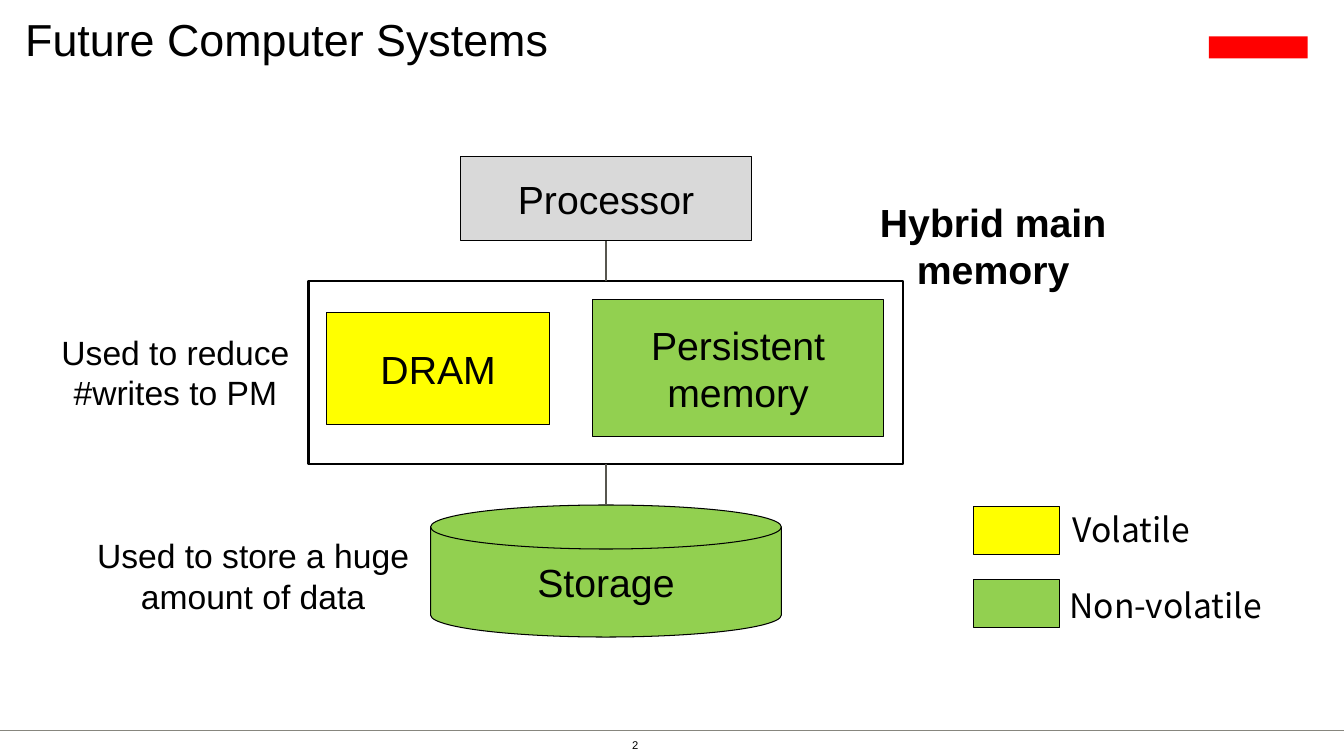
import pptx
import pptx.util
import pptx.dml.color
import pptx.enum.shapes
import pptx.enum.text
import pptx.oxml

Inches, Pt = pptx.util.Inches, pptx.util.Pt
RGBColor = pptx.dml.color.RGBColor
Shape = pptx.enum.shapes.MSO_SHAPE
Align = pptx.enum.text.PP_ALIGN
Anchor = pptx.enum.text.MSO_ANCHOR

BLACK = RGBColor(0x00, 0x00, 0x00)
GRAY = RGBColor(0xD9, 0xD9, 0xD9)
GREEN = RGBColor(0x92, 0xD0, 0x50)
YELLOW = RGBColor(0xFF, 0xFF, 0x00)
RED = RGBColor(0xFF, 0x00, 0x00)
LINK = RGBColor(0x57, 0x56, 0x4F)
RULE = RGBColor(0x87, 0x86, 0x7E)

deck = pptx.Presentation()
deck.slide_width, deck.slide_height = Inches(13.33), Inches(7.5)
slide = deck.slides.add_slide(deck.slide_layouts[6])
shapes = slide.shapes


def write(shape, lines, size, font="Arial", bold=False, align=Align.CENTER,
          anchor=Anchor.MIDDLE, wrap=True, flush=False):
    frame = shape.text_frame
    frame.text = lines
    frame.word_wrap = wrap
    frame.vertical_anchor = anchor
    if flush:
        frame.margin_left = frame.margin_right = 0
        frame.margin_top = frame.margin_bottom = 0
    for para in frame.paragraphs:
        para.alignment = align
        para.font.name = font
        para.font.size = Pt(size)
        para.font.bold = bold
        para.font.color.rgb = BLACK


def wire(x1, y1, x2, y2, color, width):
    line = shapes.add_connector(pptx.enum.shapes.MSO_CONNECTOR.STRAIGHT,
                                Inches(x1), Inches(y1), Inches(x2), Inches(y2))
    line.line.color.rgb = color
    line.line.width = Pt(width)
    props = line._element.spPr
    props.append(props.makeelement(pptx.oxml.ns.qn("a:effectLst"), {}))
    return line


# Footer rule and plain brand mark
wire(0, 7.25, 13.33, 7.25, RULE, 1)
mark = shapes.add_shape(Shape.RECTANGLE, Inches(11.99), Inches(0.36), Inches(0.98), Inches(0.22))
mark.shadow.inherit = False
mark.fill.solid()
mark.fill.fore_color.rgb = RED
mark.line.fill.background()

# Title and page number
title = shapes.add_textbox(Inches(0.25), Inches(0), Inches(11.46), Inches(0.76))
write(title, "Future Computer Systems", 32, align=Align.LEFT, flush=True)
page = shapes.add_textbox(Inches(6.27), Inches(7.28), Inches(0.79), Inches(0.22))
write(page, "2", 8, align=Align.LEFT, flush=True)

# Computer parts and legend swatches
parts = [
    ("Processor", Shape.RECTANGLE, 4.57, 1.55, 2.88, 0.84, GRAY, 0.75),
    ("Storage", Shape.FLOWCHART_MAGNETIC_DISK, 4.27, 5.01, 3.48, 1.31, GREEN, 0.75),
    ("Persistent\nmemory", Shape.RECTANGLE, 5.88, 2.97, 2.88, 1.36, GREEN, 0.75),
    ("DRAM", Shape.RECTANGLE, 3.24, 3.1, 2.21, 1.11, YELLOW, 0.75),
    ("", Shape.RECTANGLE, 3.06, 2.79, 5.9, 1.81, None, 1.5),
    ("", Shape.RECTANGLE, 9.66, 5.02, 0.85, 0.48, YELLOW, 0.75),
    ("", Shape.RECTANGLE, 9.66, 5.75, 0.85, 0.48, GREEN, 0.75),
]
drawn = []
for label, kind, x, y, w, h, color, width in parts:
    part = shapes.add_shape(kind, Inches(x), Inches(y), Inches(w), Inches(h))
    part.shadow.inherit = False
    if color is None:
        part.fill.background()
    else:
        part.fill.solid()
        part.fill.fore_color.rgb = color
    part.line.color.rgb = BLACK
    part.line.width = Pt(width)
    if label:
        write(part, label, 28, wrap=False)
    drawn.append(part)
chip, hybrid = drawn[0], drawn[4]

# Links between the levels
upper = wire(6.01, 2.39, 6.01, 2.79, LINK, 1.5)
upper.begin_connect(chip, 2)
upper.end_connect(hybrid, 0)
lower = wire(6.01, 4.6, 6.01, 5.01, LINK, 1.5)
lower.begin_connect(hybrid, 2)

# Heading of the memory frame
head = shapes.add_textbox(Inches(7.88), Inches(2.1), Inches(3.94), Inches(0.66))
write(head, "Hybrid main memory", 28, bold=True, wrap=False)

# Legend labels and side notes
notes = [
    ("Volatile", 10.48, 5, 1.48, 0.5, "Noto Sans CJK JP"),
    ("Non-volatile", 10.47, 5.75, 2.18, 0.5, "Noto Sans CJK JP"),
    ("Used to reduce #writes to PM", 0.46, 3.24, 2.56, 0.91, "Arial"),
    ("Used to store a huge amount of data", 0.84, 5.26, 3.34, 0.91, "Arial"),
]
for words, x, y, w, h, font in notes:
    note = shapes.add_textbox(Inches(x), Inches(y), Inches(w), Inches(h))
    write(note, words, 24, font=font, anchor=Anchor.TOP)

deck.save("out.pptx")
